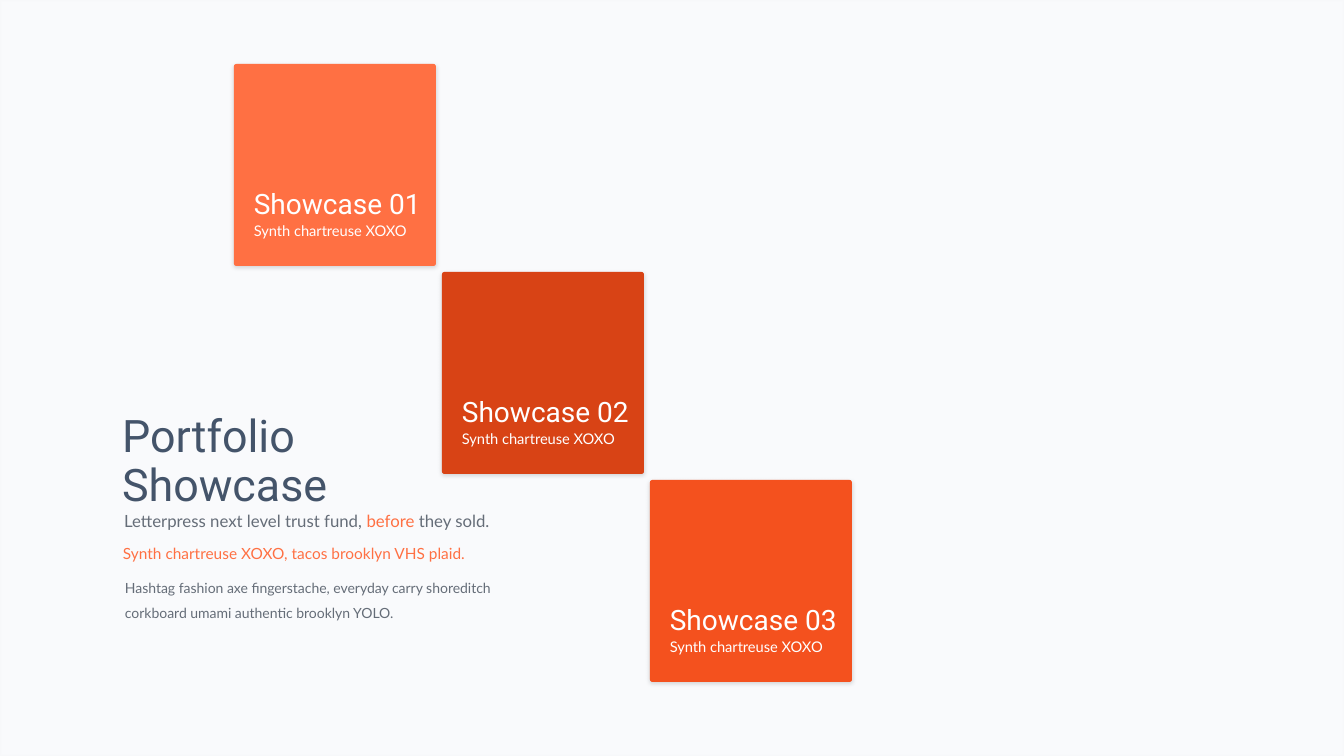
from lxml.etree import SubElement as Sub
from pptx import Presentation
from pptx.dml.color import RGBColor
from pptx.enum.shapes import MSO_SHAPE as Kind
from pptx.enum.text import MSO_ANCHOR as Anchor, MSO_AUTO_SIZE as Auto, PP_ALIGN as Align
from pptx.oxml.ns import qn
from pptx.util import Pt

WIDE, HIGH = 1344, 756
SCALE = 12192000 / WIDE
CORAL, SLATE, GREY, WHITE = "FF7043", "44546A", "656D78", "FFFFFF"
CARDS = [("Showcase 01", CORAL), ("Showcase 02", "D84315"), ("Showcase 03", "F4511E")]
STYLES = {
    "title": dict(name="Roboto", size=32, space=0.9, pad=True),
    "lead": dict(name="Lato", size=12, space=0.9, pad=True),
    "tag": dict(name="Lato", size=11, space=1.3, pad=False),
    "note": dict(name="Lato", size=10, space=1.5, pad=False),
    "head": dict(name="Roboto", size=20, space=0.8, pad=True),
    "sub": dict(name="Lato", size=10.5, space=0.8, pad=True),
}


def px(num):
    return round(num * SCALE)


def color(code):
    return RGBColor.from_string(code)


def place(shape, box):
    for key, num in zip(("left", "top", "width", "height"), box):
        setattr(shape, key, px(num))


def write(shape, box, style, runs):
    place(shape, box)
    look = STYLES[style]
    frame = shape.text_frame
    form = dict(word_wrap=True, auto_size=Auto.NONE, vertical_anchor=Anchor.TOP)
    if not look["pad"]:
        form.update(margin_left=0, margin_top=0, margin_right=0, margin_bottom=0)
    for key, val in form.items():
        setattr(frame, key, val)
    para = frame.paragraphs[0]
    form = dict(alignment=Align.LEFT, line_spacing=look["space"], space_before=Pt(0))
    for key, val in form.items():
        setattr(para, key, val)
    for text, code in runs:
        run = para.add_run()
        run.text = text
        for key, val in dict(name=look["name"], size=Pt(look["size"]), bold=False).items():
            setattr(run.font, key, val)
        run.font.color.rgb = color(code)


def label(shapes, box, style, text, code):
    write(shapes.add_textbox(0, 0, 0, 0), box, style, [(text, code)])


def block(shapes, kind, box, fill):
    shape = shapes.add_shape(kind, *map(px, box))
    shape.shadow.inherit = False
    shape.fill.solid()
    shape.fill.fore_color.rgb = color(fill)
    shape.line.fill.background()
    return shape


def panel(slide, box):
    shape = block(slide.shapes, Kind.RECTANGLE, box, "7B8DB3")
    shape.line.color.rgb = color("EBEBEB")
    shape.line.width = Pt(2)
    tones = shape.element.spPr.iter(qn("a:srgbClr"))
    for tone, part in zip(list(tones), (4, 10)):
        Sub(tone, qn("a:alpha"), val=str(part * 1000))
    shape.element.getparent().insert(2, shape.element)


def shade(shape):
    effect = shape.element.spPr.find(qn("a:effectLst"))
    outer = Sub(effect, qn("a:outerShdw"), blurRad=str(Pt(3)), dist=str(Pt(1)),
                dir=str(90 * 60000), algn="t", rotWithShape="0")
    tone = Sub(outer, qn("a:srgbClr"), val="000000")
    Sub(tone, qn("a:alpha"), val="15000")


def card(slide, box, text, fill):
    left, top, wide, high = box
    group = slide.shapes.add_group_shape()
    tile = block(group.shapes, Kind.ROUNDED_RECTANGLE, box, fill)
    tile.adjustments[0] = 0.012
    shade(tile)
    label(group.shapes, (left + 10, top + 124, wide - 7, 37), "head", text, WHITE)
    label(group.shapes, (left + 10, top + 156, wide - 7, 29), "sub",
          "Synth chartreuse XOXO", WHITE)


def steps(slide, box):
    left, top, side, gap = box
    for num, (text, fill) in enumerate(CARDS):
        move = num * (side + gap)
        card(slide, (left + move, top + move, side, side), text, fill)


def intro(slide, box):
    left, top, wide, high = box
    title, body = slide.placeholders
    write(title, (left, top, 314, 99), "title", [("Portfolio Showcase", SLATE)])
    runs = [("Letterpress next level trust fund, ", GREY),
            ("before", CORAL), (" they sold.", GREY)]
    write(body, (left + 2, top + 99, wide, 29), "lead", runs)
    rules = body.element.find(".//" + qn("a:pPr"))
    for key in ("marL", "indent"):
        rules.set(key, "0")
    Sub(rules, qn("a:buNone"))
    label(slide.shapes, (left + 13, top + 162, 374, 53), "note",
          "Hashtag fashion axe fingerstache, everyday carry shoreditch "
          "corkboard umami authentic brooklyn YOLO.", GREY)
    label(slide.shapes, (left + 11, top + 130, 376, 35), "tag",
          "Synth chartreuse XOXO, tacos brooklyn VHS plaid.", CORAL)


def main():
    deck = Presentation()
    deck.slide_width, deck.slide_height = px(WIDE), px(HIGH)
    slide = deck.slides.add_slide(deck.slide_layouts[1])
    panel(slide, (0, 0, WIDE, HIGH))
    intro(slide, (112, 409, 514, 215))
    steps(slide, (234, 64, 202, 6))
    deck.save("out.pptx")


if __name__ == "__main__":
    main()
